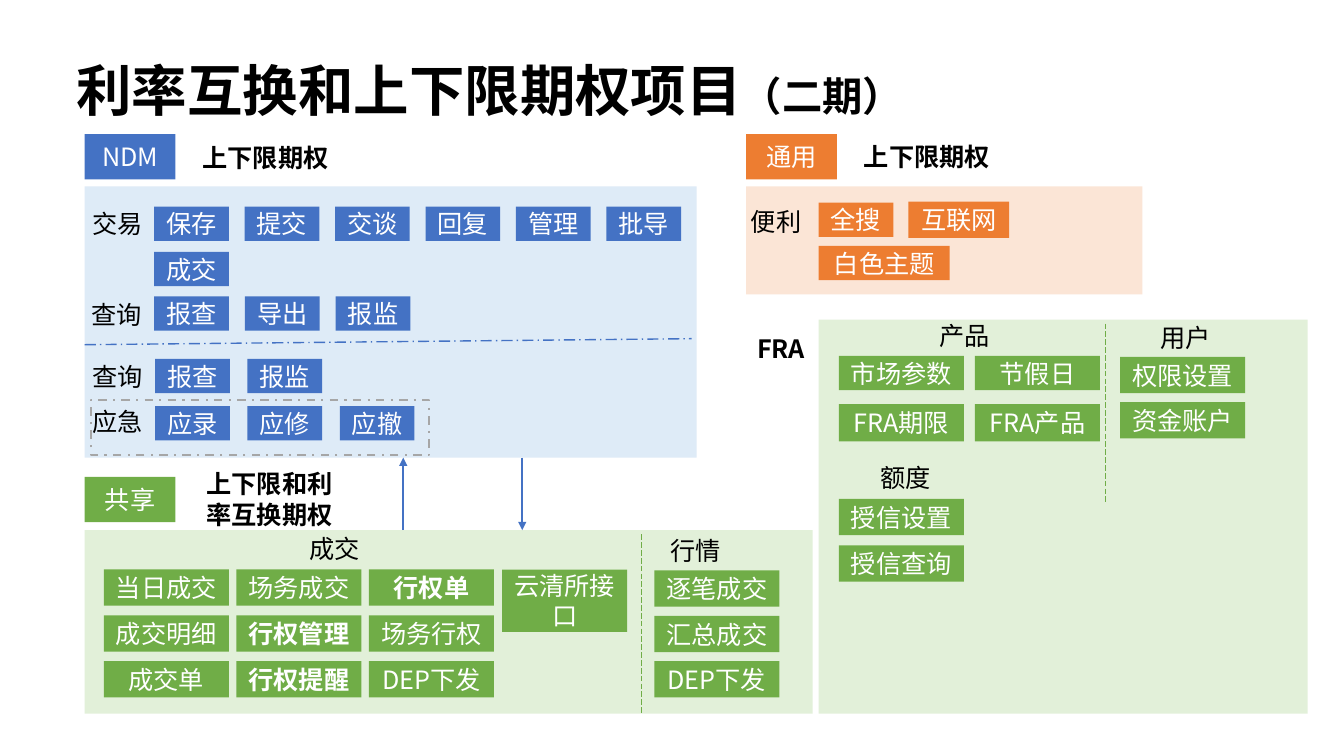
from dataclasses import dataclass
from typing import Any, Optional

from lxml import etree
from pptx import Presentation
from pptx import util as u
from pptx.dml.color import RGBColor
from pptx.enum import dml, shapes, text
from pptx.oxml import ns

SLIDE_W, SLIDE_H = u.Inches(13.33), u.Inches(7.5)
COLS, ROWS = 133.3, 75
FONT = "Noto Sans CJK SC"
BLACK = RGBColor(0x00, 0x00, 0x00)
WHITE = RGBColor(0xFF, 0xFF, 0xFF)
BLUE = RGBColor(0x44, 0x72, 0xC4)
ORANGE = RGBColor(0xED, 0x7D, 0x31)
GREEN = RGBColor(0x70, 0xAD, 0x47)
GREY = RGBColor(0xA6, 0xA6, 0xA6)
PALE_BLUE = RGBColor(0xDE, 0xEB, 0xF7)
PALE_GREEN = RGBColor(0xE2, 0xF0, 0xD9)
PALE_ORANGE = RGBColor(0xFB, 0xE5, 0xD6)
DASH = dml.MSO_LINE_DASH_STYLE


@dataclass
class Panel:
    col: float
    row: float
    w: float
    h: float
    fill: RGBColor


@dataclass
class Group:
    col: float
    row: float
    w: float
    h: float
    fill: RGBColor
    lines: list[list[str]]
    dx: float = 0
    dy: float = 0


@dataclass
class Label:
    col: float
    row: float
    text: str
    w: float = 7.1
    h: float = 4
    bold: bool = False


@dataclass
class Line:
    x1: float
    y1: float
    x2: float
    y2: float
    color: RGBColor
    width: float
    dash: Optional[DASH] = None
    arrow: bool = False


PANELS = [
    Panel(8.4, 18.5, 60.7, 26.9, PALE_BLUE),
    Panel(8.4, 52.6, 72.2, 18.2, PALE_GREEN),
    Panel(74, 18.5, 39.3, 10.7, PALE_ORANGE),
    Panel(81.2, 31.7, 48.5, 39.1, PALE_GREEN),
]
GROUPS = [
    Group(8.4, 13.3, 9, 4.5, BLUE, [["NDM"]]),
    Group(74, 13.3, 9, 4.5, ORANGE, [["通用"]]),
    Group(8.4, 47.3, 9, 4.5, GREEN, [["共享"]]),
    Group(15.3, 20.5, 7.4, 3.4, BLUE,
          [["保存", "提交", "交谈", "回复", "管理", "批导"], ["成交"]], 8.97, 4.5),
    Group(15.3, 29.4, 7.4, 3.4, BLUE, [["报查", "导出", "报监"]], 9),
    Group(15.4, 35.6, 7.4, 3.4, BLUE,
          [["报查", "报监"], ["应录", "应修", "应撤"]], 9.15, 4.7),
    Group(81.2, 20.1, 7.4, 3.4, ORANGE, [["全搜"]]),
    Group(90.1, 20, 10, 3.6, ORANGE, [["互联网"]]),
    Group(81.2, 24.4, 13, 3.4, ORANGE, [["白色主题"]]),
    Group(10.3, 56.5, 12.4, 3.6, GREEN,
          [["当日成交", "场务成交", "行权单"],
           ["成交明细", "行权管理", "场务行权"],
           ["成交单", "行权提醒", "DEP下发"]], 13.15, 4.55),
    Group(49.8, 56.5, 12.4, 6.2, GREEN, [["云清所接口"]]),
    Group(64.9, 56.6, 12.4, 3.6, GREEN,
          [["逐笔成交"], ["汇总成交"], ["DEP下发"]], dy=4.5),
    Group(83.2, 35.3, 12.4, 3.4, GREEN, [["市场参数", "节假日"]], 13.5),
    Group(83.2, 40.1, 12.4, 3.7, GREEN, [["FRA期限", "FRA产品"]], 13.5),
    Group(111.1, 35.4, 12.4, 3.6, GREEN, [["权限设置"], ["资金账户"]], dy=4.5),
    Group(83.2, 49.5, 12.4, 3.6, GREEN, [["授信设置"], ["授信查询"]], dy=4.6),
]
BOLD_CHIPS = {"行权单", "行权管理", "行权提醒"}
LABELS = [
    Label(8.2, 20.2, "交易"),
    Label(8.1, 29.2, "查询"),
    Label(8.2, 35.4, "查询"),
    Label(8.2, 39.8, "应急"),
    Label(29.7, 52.4, "成交"),
    Label(65.5, 52.6, "行情"),
    Label(73.5, 20, "便利"),
    Label(92.2, 31.3, "产品"),
    Label(86.3, 45.4, "额度"),
    Label(114.1, 31.5, "用户"),
    Label(74.1, 32.6, "FRA", bold=True),
    Label(19.1, 13.6, "上下限期权", 19, bold=True),
    Label(84.7, 13.5, "上下限期权", 19, bold=True),
    Label(19.5, 46, "上下限和利\n率互换期权", 14.9, 7.1, True),
]
LINES = [
    Line(8.4, 34.2, 68.6, 33.6, BLUE, 1, DASH.LONG_DASH_DOT),
    Line(63.6, 53, 63.6, 70.9, GREEN, 0.5, DASH.LONG_DASH),
    Line(109.6, 32.1, 109.6, 49.9, GREEN, 0.5, DASH.LONG_DASH),
    Line(40, 52.6, 40, 45.4, BLUE, 1.5, arrow=True),
    Line(51.8, 45.4, 51.8, 52.6, BLUE, 1.5, arrow=True),
]


def x(cols: float) -> int:
    return round(SLIDE_W * cols / COLS)


def y(rows: float) -> int:
    return round(SLIDE_H * rows / ROWS)


def apply(obj: Any, fmt: dict[str, Any]) -> None:
    for name, value in fmt.items():
        setattr(obj, name, value)


def add_run(p: Any, words: str, size: float, color: RGBColor, bold: bool) -> None:
    r = p.add_run()
    r.text = words
    apply(r.font, {"name": FONT, "size": u.Pt(size), "bold": bold})
    r.font.color.rgb = color
    etree.SubElement(r.font._element, ns.qn("a:ea"), typeface=FONT)


def add_rect(s: Any, col: float, row: float, w: float, h: float,
             fill: Optional[RGBColor]) -> Any:
    sp = s.shapes.add_shape(shapes.MSO_SHAPE.RECTANGLE, x(col), y(row), x(w), y(h))
    sp.shadow.inherit = False
    sp.line.fill.background()
    if fill is None:
        sp.fill.background()
    else:
        sp.fill.solid()
        sp.fill.fore_color.rgb = fill
    return sp


def add_group(s: Any, g: Group) -> None:
    for j, line in enumerate(g.lines):
        for i, words in enumerate(line):
            sp = add_rect(s, g.col + i * g.dx, g.row + j * g.dy, g.w, g.h, g.fill)
            tf = sp.text_frame
            apply(tf, {"word_wrap": True, "vertical_anchor": text.MSO_ANCHOR.MIDDLE})
            p = tf.paragraphs[0]
            p.alignment = text.PP_ALIGN.CENTER
            add_run(p, words, 18, WHITE, words in BOLD_CHIPS)


def add_label(s: Any, label: Label) -> None:
    sp = s.shapes.add_textbox(x(label.col), y(label.row), x(label.w), y(label.h))
    tf = sp.text_frame
    apply(tf, {"word_wrap": True, "auto_size": text.MSO_AUTO_SIZE.SHAPE_TO_FIT_TEXT})
    for i, words in enumerate(label.text.split("\n")):
        p = tf.add_paragraph() if i else tf.paragraphs[0]
        add_run(p, words, 18, BLACK, label.bold)


def style_line(ln: Any, color: RGBColor, width: float, dash: Optional[DASH]) -> None:
    ln.color.rgb = color
    apply(ln, {"width": u.Pt(width), "dash_style": dash})


def add_line(s: Any, line: Line) -> None:
    c = s.shapes.add_connector(shapes.MSO_CONNECTOR.STRAIGHT, x(line.x1), y(line.y1),
                               x(line.x2), y(line.y2))
    style_line(c.line, line.color, line.width, line.dash)
    sp_pr = c._element.spPr
    if line.arrow:
        etree.SubElement(sp_pr.find(ns.qn("a:ln")), ns.qn("a:tailEnd"), type="triangle")
    etree.SubElement(sp_pr, ns.qn("a:effectLst"))


def add_title(s: Any) -> None:
    tf = s.shapes.add_textbox(x(6.6), y(6.1), x(115), y(6.3)).text_frame
    apply(tf, {"word_wrap": True, "vertical_anchor": text.MSO_ANCHOR.MIDDLE})
    p = tf.paragraphs[0]
    p.line_spacing = 0.9
    add_run(p, "利率互换和上下限期权项目", 39.6, BLACK, True)
    add_run(p, "（二期）", 28.8, BLACK, True)


def main() -> None:
    prs = Presentation()
    apply(prs, {"slide_width": SLIDE_W, "slide_height": SLIDE_H})
    s = prs.slides.add_slide(prs.slide_layouts[6])
    add_title(s)
    for panel in PANELS:
        add_rect(s, panel.col, panel.row, panel.w, panel.h, panel.fill)
    for group in GROUPS:
        add_group(s, group)
    for label in LABELS:
        add_label(s, label)
    for line in LINES:
        add_line(s, line)
    frame = add_rect(s, 9, 39.7, 33.6, 5.4, None)
    style_line(frame.line, GREY, 1.5, DASH.DASH_DOT)
    prs.save("out.pptx")


if __name__ == "__main__":
    main()
